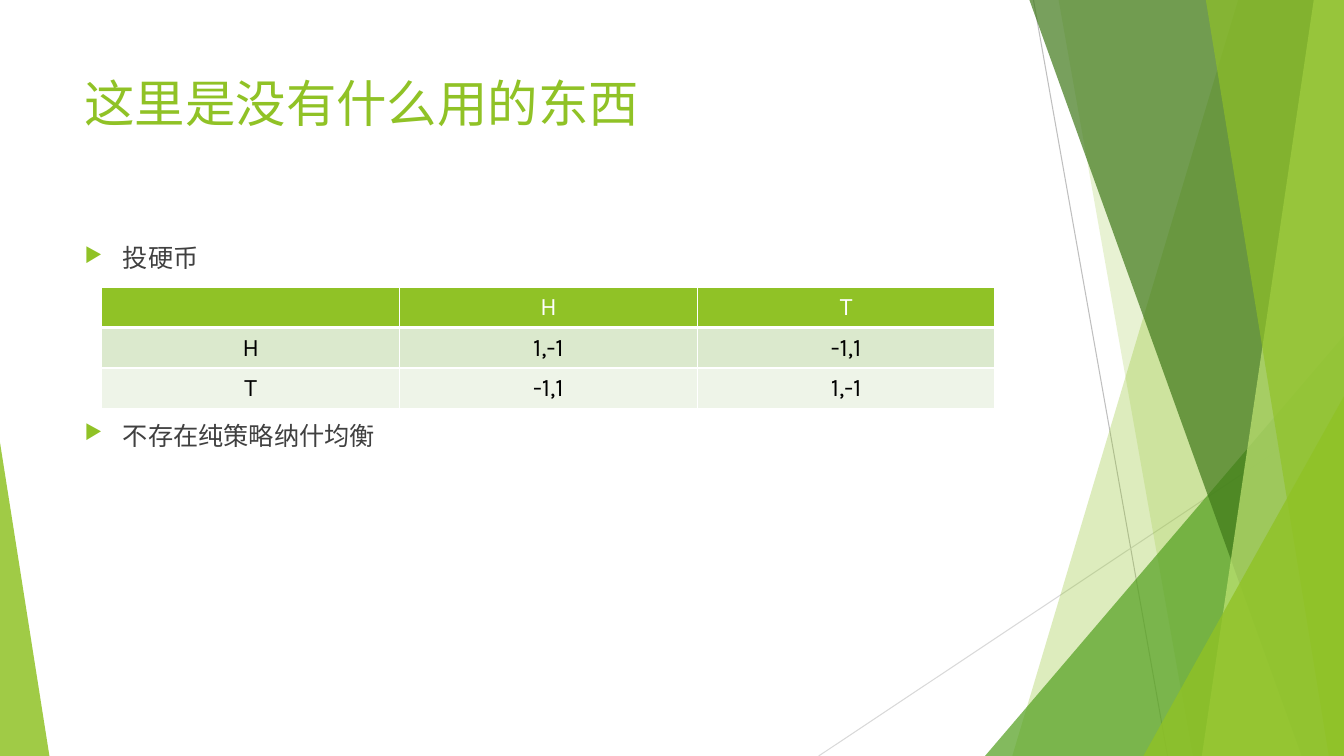
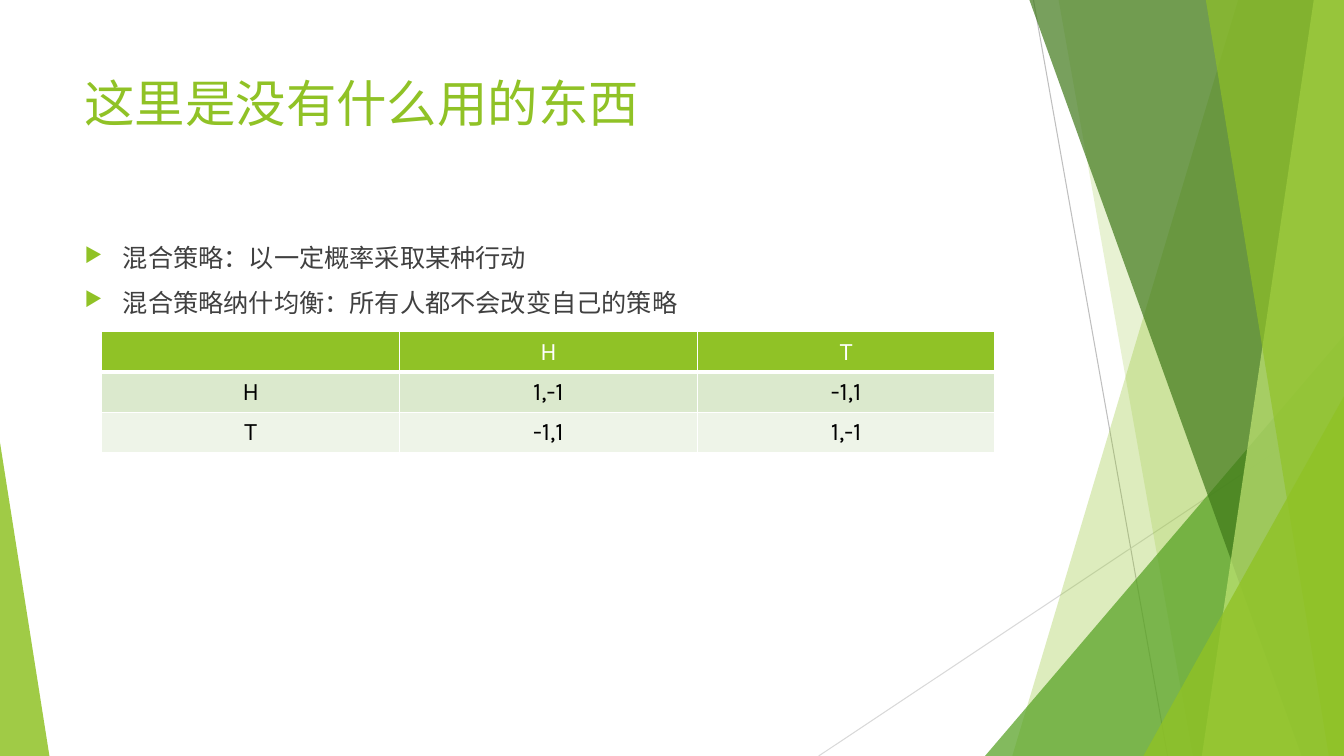
from lxml.etree import SubElement
from pptx import Presentation
from pptx.dml.color import RGBColor
from pptx.enum.shapes import MSO_CONNECTOR, MSO_SHAPE
from pptx.enum.text import MSO_ANCHOR, PP_ALIGN
from pptx.oxml.ns import qn
from pptx.util import Inches, Pt

LIME = RGBColor(0x90, 0xC2, 0x26)
GREEN = RGBColor(0x54, 0xA0, 0x21)
FOREST = RGBColor(0x3F, 0x78, 0x19)
PALE_LIME = RGBColor(0xC0, 0xE4, 0x74)
ROW_TINT = RGBColor(0xDB, 0xE9, 0xCD)
ROW_PALE = RGBColor(0xEE, 0xF4, 0xE8)
GRAY = RGBColor(0xBF, 0xBF, 0xBF)
LIGHT_GRAY = RGBColor(0xD9, 0xD9, 0xD9)
TEXT = RGBColor(0x40, 0x40, 0x40)
BLACK = RGBColor(0, 0, 0)
WHITE = RGBColor(0xFF, 0xFF, 0xFF)
FONT = "Karla"

WIDTH, HEIGHT = 13.33, 7.5
MARGIN, TEXT_WIDTH = 0.74, 9.4
TITLE_TOP, TITLE_HEIGHT = 0.67, 1.44
BODY_TOP, BODY_HEIGHT = 2.36, 4.24
INSET, BULLET_PITCH, BULLET_INDENT = 0.05, 0.44, 0.38
BULLET_GAP, TABLE_GAP = 10, 105
TABLE_LEFT, TABLE_WIDTH, ROW_HEIGHT = 1.01, 8.86, 0.4

TITLE = "这里是没有什么用的东西"
PAYOFFS = [
    ("", "H", "T"),
    ("H", "1,-1", "-1,1"),
    ("T", "-1,1", "1,-1"),
]
SLIDES = [
    {"above": ["投硬币"], "below": ["不存在纯策略纳什均衡"]},
    {"above": ["混合策略：以一定概率采取某种行动",
               "混合策略纳什均衡：所有人都不会改变自己的策略"], "below": []},
]

RAYS = [
    ((10.25, 0), (11.58, HEIGHT), GRAY),
    ((WIDTH, 4.03), (8.12, HEIGHT), LIGHT_GRAY),
]
# kind, geometry, colour, opacity
FACETS = [
    ("band", (12.28, 10.04), LIME, 30),
    ("band", (10.5, 11.83), LIME, 20),
    ("peak", (9.77, WIDTH, 3.33, 1), GREEN, 72),
    ("band", (10.21, 12.91), FOREST, 70),
    ("band", (13.03, 11.92), PALE_LIME, 70),
    ("band", (11.96, 13.18), LIME, 65),
    ("peak", (11.34, WIDTH, 3.93, 1), LIME, 80),
    ("peak", (0, 0.49, 4.39, 0), LIME, 85),
]


def add_ray(slide, start, end, color):
    ray = slide.shapes.add_connector(
        MSO_CONNECTOR.STRAIGHT, *(Inches(v) for v in (*start, *end)))
    ray.line.color.rgb = color
    ray.line.width = Pt(0.75)
    SubElement(ray._element.spPr, qn("a:effectLst"))


def add_band(slide, top_x, bottom_x):
    outline = slide.shapes.build_freeform(Inches(top_x), 0)
    corners = [(WIDTH, 0), (WIDTH, HEIGHT), (bottom_x, HEIGHT)]
    outline.add_line_segments([(Inches(x), Inches(y)) for x, y in corners])
    return outline.convert_to_shape()


def add_peak(slide, left, right, top, apex):
    peak = slide.shapes.add_shape(
        MSO_SHAPE.ISOSCELES_TRIANGLE, Inches(left), Inches(top),
        Inches(right - left), Inches(HEIGHT - top))
    peak.adjustments[0] = apex
    return peak


def add_backdrop(slide):
    for ray in RAYS:
        add_ray(slide, *ray)
    for kind, geometry, color, opacity in FACETS:
        facet = (add_band if kind == "band" else add_peak)(slide, *geometry)
        facet.shadow.inherit = False
        facet.line.fill.background()
        facet.fill.solid()
        facet.fill.fore_color.rgb = color
        srgb = facet._element.spPr.find(qn("a:solidFill")).find(qn("a:srgbClr"))
        SubElement(srgb, qn("a:alpha"), val=str(opacity * 1000))


def style(paragraph, size, color):
    paragraph.font.name = FONT
    paragraph.font.size = Pt(size)
    paragraph.font.color.rgb = color


def add_text_frame(slide, top, height):
    frame = slide.shapes.add_textbox(
        Inches(MARGIN), Inches(top), Inches(TEXT_WIDTH), Inches(height)).text_frame
    frame.word_wrap = True
    return frame


def add_title(slide):
    heading = add_text_frame(slide, TITLE_TOP, TITLE_HEIGHT).paragraphs[0]
    heading.text = TITLE
    style(heading, 36, LIME)


def add_bullet_mark(paragraph):
    props = paragraph._p.get_or_add_pPr()
    props.set("marL", str(Inches(BULLET_INDENT)))
    props.set("indent", str(-Inches(BULLET_INDENT)))
    SubElement(SubElement(props, qn("a:buClr")), qn("a:srgbClr"), val=str(LIME))
    SubElement(props, qn("a:buSzPct"), val="80000")
    SubElement(props, qn("a:buChar"), char="▶")


def add_bullets(slide, above, below):
    frame = add_text_frame(slide, BODY_TOP, BODY_HEIGHT)
    for i, line in enumerate(above + below):
        bullet = frame.paragraphs[0] if i == 0 else frame.add_paragraph()
        bullet.text = line
        add_bullet_mark(bullet)
        if i:
            bullet.space_before = Pt(TABLE_GAP if i == len(above) else BULLET_GAP)
        style(bullet, 18, TEXT)


def add_borders(cell, bottom):
    props = cell._tc.get_or_add_tcPr()
    widths = {"a:lnL": 1, "a:lnR": 1, "a:lnT": 1, "a:lnB": bottom}
    for position, (tag, width) in enumerate(widths.items()):
        edge = SubElement(props, qn(tag), w=str(Pt(width)))
        SubElement(SubElement(edge, qn("a:solidFill")), qn("a:srgbClr"), val=str(WHITE))
        props.insert(position, edge)


def add_payoffs(slide, top):
    table = slide.shapes.add_table(
        len(PAYOFFS), len(PAYOFFS[0]), Inches(TABLE_LEFT), Inches(top),
        Inches(TABLE_WIDTH), Inches(ROW_HEIGHT * len(PAYOFFS))).table
    for r, (values, fill) in enumerate(zip(PAYOFFS, (LIME, ROW_TINT, ROW_PALE))):
        for c, value in enumerate(values):
            cell = table.cell(r, c)
            cell.text = value
            cell.vertical_anchor = MSO_ANCHOR.MIDDLE
            cell.fill.solid()
            cell.fill.fore_color.rgb = fill
            add_borders(cell, 1 if r else 3)
            entry = cell.text_frame.paragraphs[0]
            entry.alignment = PP_ALIGN.CENTER
            style(entry, 18, BLACK if r else WHITE)
            entry.font.bold = False


def main():
    deck = Presentation()
    deck.slide_width, deck.slide_height = Inches(WIDTH), Inches(HEIGHT)
    for content in SLIDES:
        slide = deck.slides.add_slide(deck.slide_layouts[6])
        add_backdrop(slide)
        add_title(slide)
        add_bullets(slide, **content)
        add_payoffs(slide, BODY_TOP + INSET + BULLET_PITCH * len(content["above"]))
    deck.save("out.pptx")


if __name__ == "__main__":
    main()
